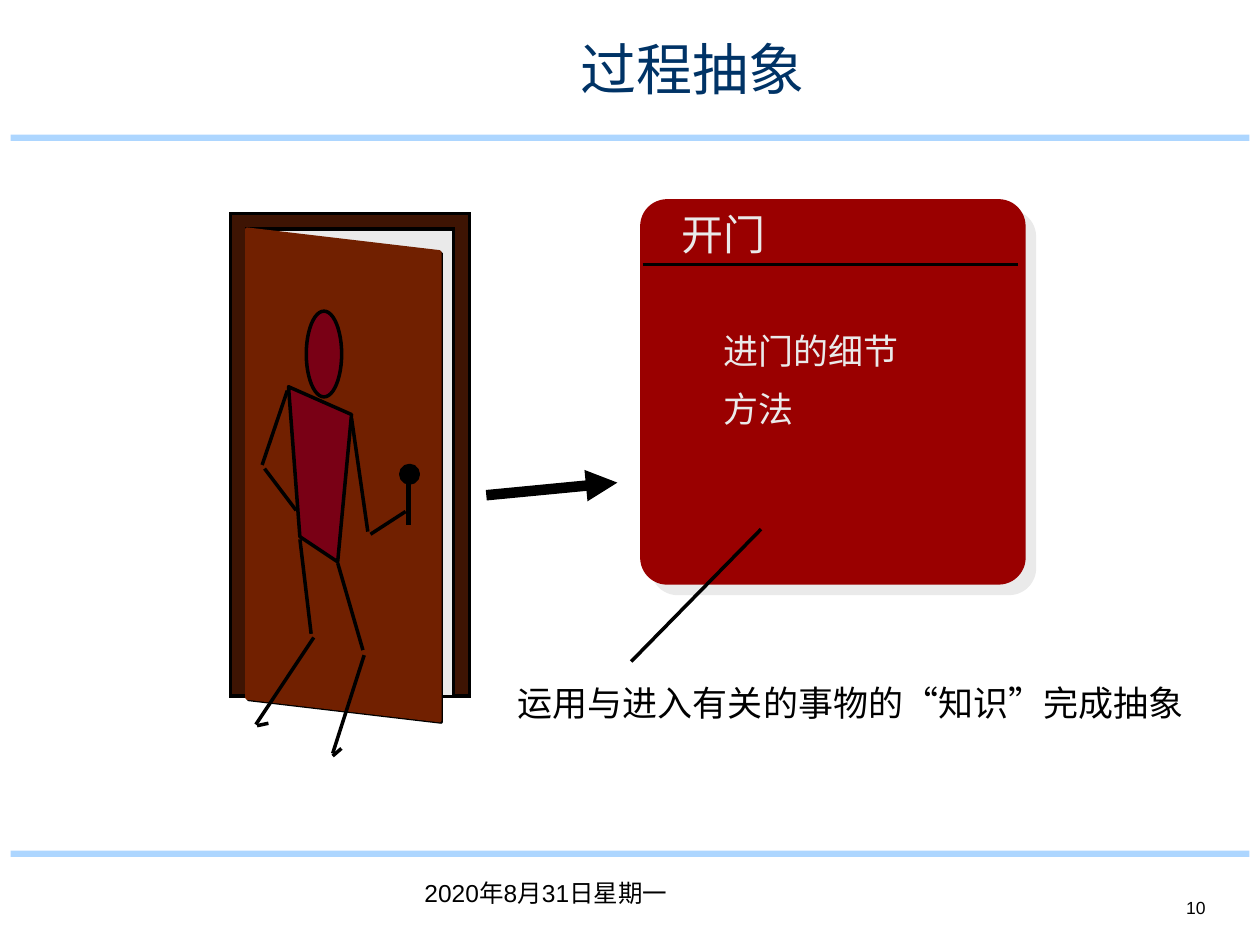
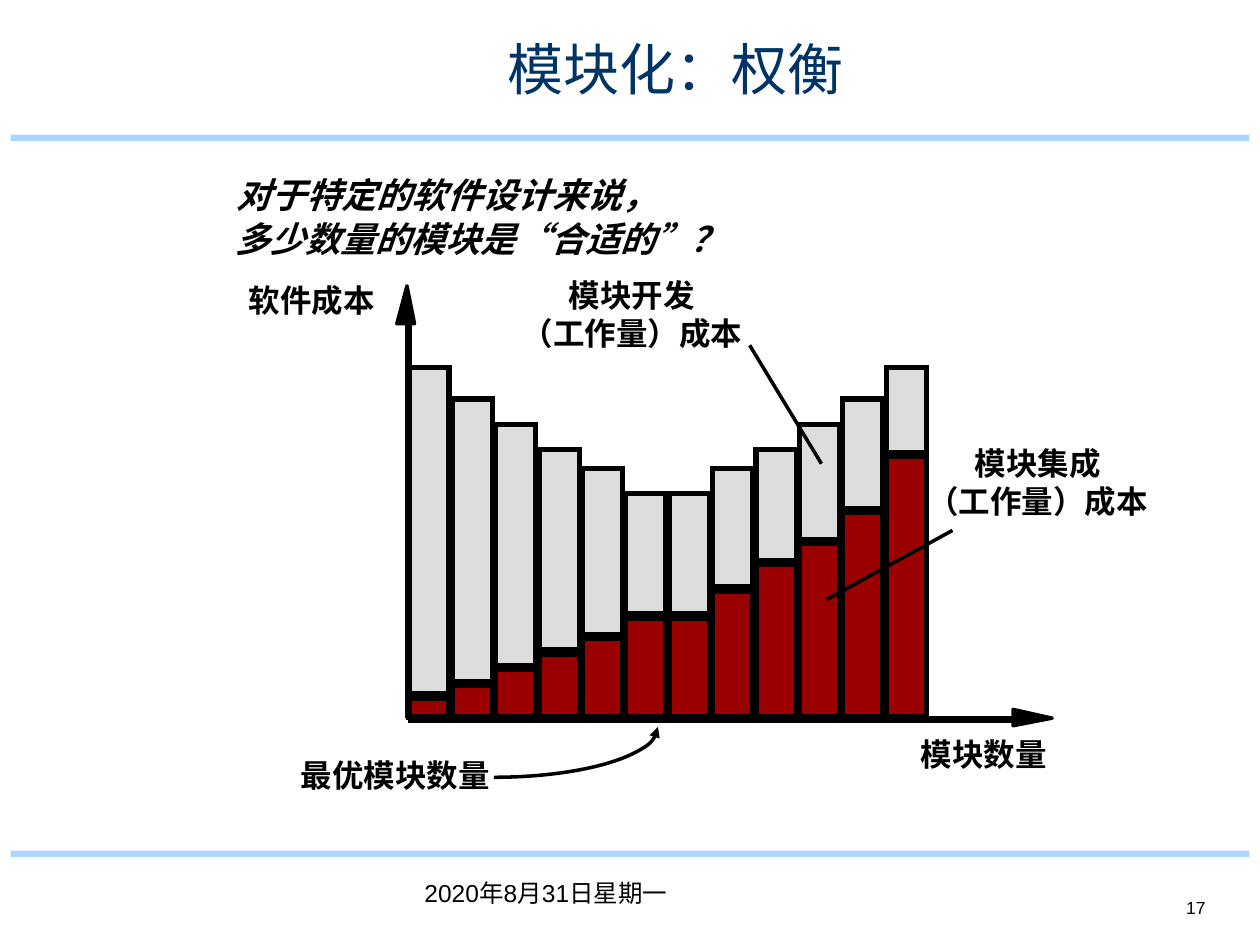
from lxml.etree import SubElement
from pptx import Presentation
from pptx.dml.color import RGBColor
from pptx.enum.shapes import MSO_CONNECTOR as Connector, MSO_SHAPE as Shape
from pptx.enum.text import MSO_ANCHOR as Anchor, PP_ALIGN as Align
from pptx.oxml.ns import qn
from pptx.util import Pt

COLORS = {
    "black": "000000",
    "title": "003366",
    "band": "ADD6FF",
    "light": "EAEAEA",
    "frame": "3E1403",
    "door": "712000",
    "person": "790015",
    "card": "9A0000",
    "development": "DDDDDD",
}
FONT = "Arial"
DATE = "2020年8月31日星期一"


def rgb(name):
    return RGBColor.from_string(COLORS[name])


def style_shape(shape, fill, line, width):
    shape.shadow.inherit = False
    if fill:
        shape.fill.solid()
        shape.fill.fore_color.rgb = rgb(fill)
    else:
        shape.fill.background()
    if line:
        shape.line.color.rgb = rgb(line)
        shape.line.width = Pt(width)
    else:
        shape.line.fill.background()
    return shape


def add_preset(slide, kind, left, top, width, height, fill=None, line=None, weight=2):
    shape = slide.shapes.add_shape(kind, Pt(left), Pt(top), Pt(width), Pt(height))
    style_shape(shape, fill, line, weight)
    if line and kind == Shape.RECTANGLE:
        SubElement(shape.line._get_or_add_ln(), qn("a:miter"), lim="800000")
    return shape


def add_polygon(slide, points, fill, line="black"):
    corners = [(Pt(x), Pt(y)) for x, y in points]
    builder = slide.shapes.build_freeform(*corners[0], scale=1.0)
    builder.add_line_segments(corners[1:], close=True)
    return style_shape(builder.convert_to_shape(), fill, line, 2)


def add_arrowhead(shape, end):
    SubElement(shape.line._get_or_add_ln(), qn(f"a:{end}"), type="triangle")


def add_line(slide, x1, y1, x2, y2, weight=2):
    line = slide.shapes.add_connector(Connector.STRAIGHT, Pt(x1), Pt(y1), Pt(x2), Pt(y2))
    line.line.color.rgb = rgb("black")
    line.line.width = Pt(weight)
    SubElement(line._element.spPr, qn("a:effectLst"))
    return line


def add_text(slide, text, left, top, width, height, size, color="black", bold=False,
             italic=False, align=Align.LEFT, anchor=Anchor.TOP, wrap=False):
    box = slide.shapes.add_textbox(Pt(left), Pt(top), Pt(width), Pt(height))
    frame = box.text_frame
    frame.word_wrap = wrap
    frame.vertical_anchor = anchor
    frame.text = text
    for paragraph in frame.paragraphs:
        paragraph.alignment = align
        paragraph.font.name = FONT
        paragraph.font.size = Pt(size)
        paragraph.font.bold = bold
        paragraph.font.italic = italic
        paragraph.font.color.rgb = rgb(color)
    return box


def add_base_slide(presentation, title, title_left, title_width, number):
    slide = presentation.slides.add_slide(presentation.slide_layouts[6])
    for top in (77, 486):
        add_preset(slide, Shape.RECTANGLE, 6, top, 708, 3.6, "band")
    heading = add_text(slide, title, title_left, 17.5, title_width, 43, 32, "title",
                       align=Align.CENTER, anchor=Anchor.MIDDLE).text_frame
    heading.margin_left = heading.margin_right = Pt(5)
    heading.margin_top = heading.margin_bottom = Pt(2)
    add_text(slide, DATE, 96, 498, 432, 36, 14, align=Align.CENTER, wrap=True)
    add_text(slide, number, 594, 492, 102, 36, 10, align=Align.RIGHT,
             anchor=Anchor.BOTTOM, wrap=True)
    return slide


def add_door(slide):
    add_preset(slide, Shape.RECTANGLE, 131.8, 122, 136.4, 275.8, "frame", "black")
    add_preset(slide, Shape.RECTANGLE, 141.1, 131, 118, 267, "light", "black")
    corners = [(141.1, 131), (251.3, 144), (251.3, 411.8), (141.1, 398.9)]
    add_polygon(slide, [(x + 0.8, y + 0.8) for x, y in corners], None)
    add_polygon(slide, corners, "door", "door")
    add_preset(slide, Shape.OVAL, 229, 266, 10, 10, "black", "black")
    add_preset(slide, Shape.RECTANGLE, 233.2, 275, 0.8, 23.8, "black", "black")


def add_person(slide):
    add_preset(slide, Shape.OVAL, 175, 177.8, 20.2, 49, "person", "black")
    add_polygon(slide, [(164.9, 221), (200.9, 236.9), (193, 321.1), (171.4, 306.7)], "person")
    limbs = [
        (200.9, 239, 210.2, 303.8), (211.7, 305.3, 231.8, 292.3),
        (164.2, 223.2, 149.8, 265.7), (151.2, 267.8, 169.2, 291.6),
        (193, 321.8, 207.4, 371.5), (208.1, 374.4, 190.1, 430.6),
        (190.1, 432, 195.1, 427.7),
        (171.4, 308.2, 177.8, 362.2), (179.3, 364.3, 146.2, 414),
        (146.9, 414.7, 153.4, 413.3),
    ]
    for limb in limbs:
        add_line(slide, *limb)


def add_card(slide):
    card = add_preset(slide, Shape.ROUNDED_RECTANGLE, 365.8, 113.8, 220.3, 220.3, "card")
    card.adjustments[0] = 0.07
    effects = card._element.spPr.find(qn("a:effectLst"))
    shadow = SubElement(effects, qn("a:outerShdw"), dist=str(Pt(8.5)), dir="2700000",
                        algn="ctr", rotWithShape="0")
    SubElement(shadow, qn("a:srgbClr"), val=COLORS["light"])
    add_line(slide, 367.2, 151.2, 581.8, 151.2)
    add_text(slide, "开门", 382.3, 115.5, 70, 36, 24, "light")
    add_text(slide, "进门的细节", 406.1, 184.5, 118, 31, 20, "light")
    add_text(slide, "方法", 406.1, 218, 60, 31, 20, "light")


def add_cost_bars(slide):
    base, first_left, pitch, width, gap = 409.7, 233.6, 24.8, 23, 2.2
    falling_tops = [210, 228, 242.6, 256.7, 267.8, 282]
    tops = falling_tops + falling_tops[::-1]
    joints = [396.7, 389.5, 380.5, 371.5, 362.5, 351,
              351, 335.5, 320.5, 308.5, 290.5, 258.5]
    for index, (top, joint) in enumerate(zip(tops, joints)):
        left = first_left + index * pitch
        for part_top, bottom, fill in ((top, joint, "development"),
                                       (joint + gap, base, "card")):
            add_preset(slide, Shape.RECTANGLE, left, part_top, width, bottom - part_top,
                       fill, "black", 3)


def add_axes(slide):
    add_line(slide, 233.3, 411, 578.2, 411, 4)
    add_polygon(slide, [(601.2, 410.4), (578.9, 414.7), (578.9, 405.4)], "black")
    add_line(slide, 233.3, 410.4, 233.3, 184.3, 4)
    add_polygon(slide, [(232.6, 163.4), (236.9, 185), (226.8, 185)], "black")
    for text, left, top, width in (("软件成本", 135, 157, 90),
                                   ("模块数量", 519.1, 416.2, 90),
                                   ("最优模块数量", 164.9, 428.4, 126)):
        add_text(slide, text, left, top, width, 28.8, 18, bold=True)


def build_abstraction(presentation):
    slide = add_base_slide(presentation, "过程抽象", 246.2, 299.5, "10")
    add_arrowhead(add_line(slide, 277.9, 283, 352.8, 275.8, 6), "tailEnd")
    add_door(slide)
    add_person(slide)
    add_card(slide)
    add_line(slide, 434.9, 302.4, 360.7, 378)
    add_text(slide, "运用与进入有关的事物的“知识”完成抽象", 288.7, 385.9, 400, 31, 20)


def build_modularity(presentation):
    slide = add_base_slide(presentation, "模块化：权衡", 278.3, 216, "17")
    for text, left, top, width in (("对于特定的软件设计来说，", 128.2, 95.8, 260),
                                   ("多少数量的模块是“合适的”？", 127.4, 121, 305)):
        add_text(slide, text, left, top, width, 31, 20, bold=True, italic=True)
    add_cost_bars(slide)
    add_axes(slide)
    for topic, left, top in (("模块集成", 520.7, 250.3), ("模块开发", 288.9, 154.3)):
        add_text(slide, f"{topic}\n（工作量）成本", left, top, 144.4, 50.4, 18,
                 bold=True, align=Align.CENTER)
    add_line(slide, 428.4, 197.3, 469.4, 265)
    add_line(slide, 544.3, 303.1, 472.3, 342.7)
    pointer = add_preset(slide, Shape.ARC, 188.4, 386.6, 187.6, 57.6, None, "black")
    pointer.adjustments[0] = 0
    pointer.adjustments[1] = 54
    add_arrowhead(pointer, "headEnd")


def main():
    presentation = Presentation()
    presentation.slide_width = Pt(720)
    presentation.slide_height = Pt(540)
    build_abstraction(presentation)
    build_modularity(presentation)
    presentation.save("out.pptx")


if __name__ == "__main__":
    main()
